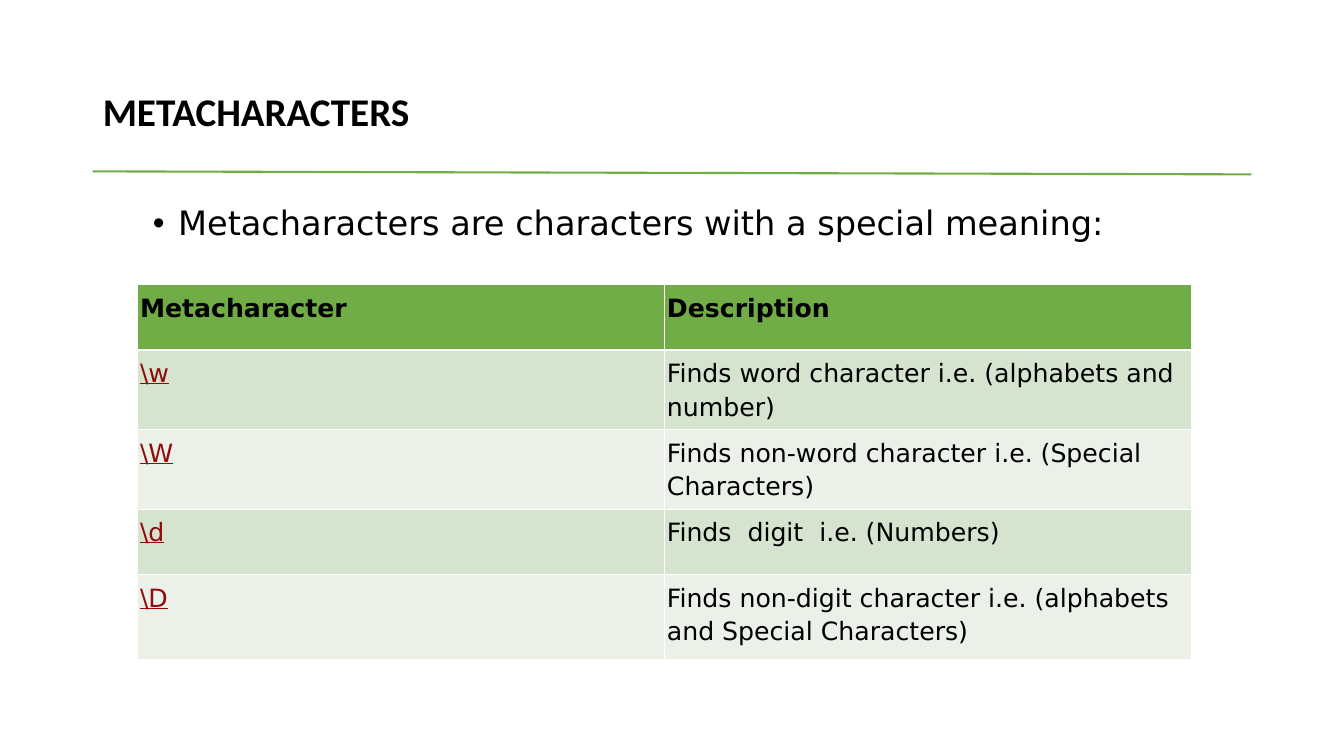
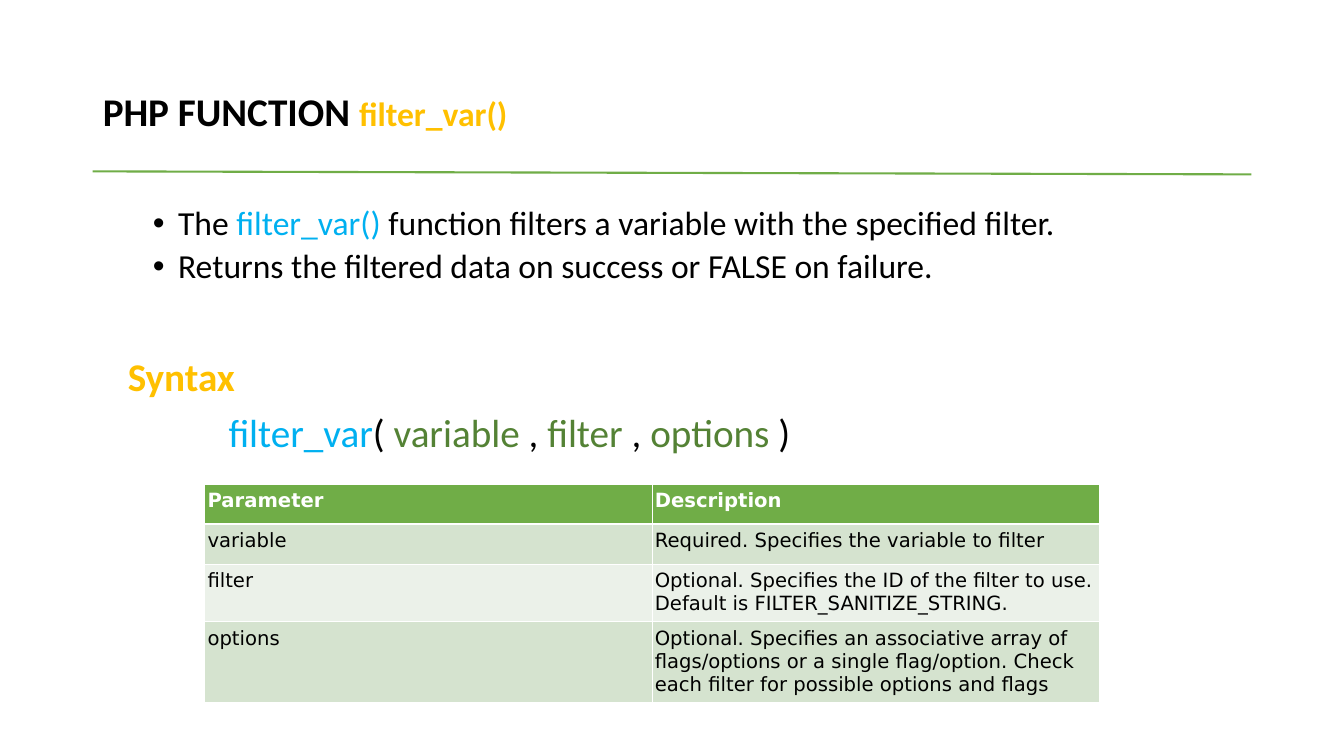
from lxml.etree import SubElement
from pptx import Presentation
from pptx.dml.color import RGBColor
from pptx.enum.shapes import MSO_CONNECTOR as Connector
from pptx.enum.text import MSO_ANCHOR as Anchor, MSO_AUTO_SIZE as AutoSize, PP_ALIGN as Align
from pptx.oxml.ns import qn
from pptx.util import Pt

PX = 9144  # 100 px to the inch
SLIDE = (1334, 750)
TITLE_BOX = (92, 40, 1150, 145)
BODY_BOX = (92, 200, 1150, 476)
RULE = (92, 170, 1242, 173)
CELL_MARGIN = (3, 5)

BLACK = RGBColor(0x00, 0x00, 0x00)
WHITE = RGBColor(0xFF, 0xFF, 0xFF)
GREEN = RGBColor(0x70, 0xAD, 0x47)
BANDS = (RGBColor(0xD5, 0xE3, 0xCF), RGBColor(0xEB, 0xF1, 0xE9))
DARK_GREEN = RGBColor(0x54, 0x82, 0x35)
GOLD = RGBColor(0xFF, 0xC0, 0x00)
BLUE = RGBColor(0x00, 0xB0, 0xF0)
DARK_RED = RGBColor(0x90, 0x0B, 0x09)

CALIBRI, DEJAVU = "Calibri", "DejaVu Sans"

# Paragraph styles: left edge and hanging indent in px, space before and size in points
STYLES = {
    "bullet": dict(left=75, hanging=25, before=5, size=24, bold=False),
    "heading": dict(left=25, hanging=0, before=51, size=28, bold=True),
    "code": dict(left=125, hanging=0, before=10, size=28, bold=False),
}

PAGES = [
    dict(
        title=[("METACHARACTERS", BLACK, 28)],
        font=DEJAVU,
        body=[("bullet", [("Metacharacters are characters with a special meaning:", BLACK)])],
        table=dict(
            left=136, top=282, column=523, heights=(65, 79, 79, 65, 84),
            size=18, spacing=1.15, header=BLACK, key=DARK_RED, underline=True,
            rows=[
                ("Metacharacter", "Description"),
                ("\\w", "Finds word character i.e. (alphabets and number)"),
                ("\\W", "Finds non-word character i.e. (Special Characters)"),
                ("\\d", "Finds  digit  i.e. (Numbers)"),
                ("\\D", "Finds non-digit character i.e. (alphabets and Special Characters)"),
            ],
        ),
    ),
    dict(
        title=[("PHP FUNCTION ", BLACK, 28), ("filter_var()", GOLD, 24)],
        font=CALIBRI,
        body=[
            ("bullet", [("The ", BLACK), ("filter_var() ", BLUE),
                        ("function filters a variable with the specified filter.", BLACK)]),
            ("bullet", [("Returns the filtered data on success or FALSE on failure.", BLACK)]),
            ("heading", [("Syntax", GOLD)]),
            ("code", [("filter_var", BLUE), ("( ", BLACK), ("variable ", DARK_GREEN),
                      (", ", BLACK), ("filter ", DARK_GREEN), (", ", BLACK),
                      ("options ", DARK_GREEN), (")", BLACK)]),
        ],
        table=dict(
            left=203, top=480, column=444, heights=(40, 40, 56, 79),
            size=14, spacing=1.0, header=WHITE, key=BLACK, underline=False,
            rows=[
                ("Parameter", "Description"),
                ("variable", "Required. Specifies the variable to filter"),
                ("filter", "Optional. Specifies the ID of the filter to use. "
                           "Default is FILTER_SANITIZE_STRING."),
                ("options", "Optional. Specifies an associative array of flags/options or a "
                            "single flag/option. Check each filter for possible options and flags"),
            ],
        ),
    ),
]


def px(*lengths):
    return [length * PX for length in lengths]


def add_span(para, text, font, size, color, bold):
    span = para.add_run()
    span.text = text
    style_span(span, font, size, color, bold)


def style_span(span, font, size, color, bold):
    span.font.name = font
    span.font.size = Pt(size)
    span.font.bold = bold
    span.font.color.rgb = color


def add_title(page, spans):
    """Fill the title placeholder and draw the rule below it."""
    title = page.shapes.title
    title.left, title.top, title.width, title.height = px(*TITLE_BOX)
    frame = title.text_frame
    frame.auto_size = AutoSize.NONE
    frame.vertical_anchor = Anchor.MIDDLE
    para = frame.paragraphs[0]
    para.alignment = Align.LEFT
    para.line_spacing = 0.9
    for text, color, size in spans:
        add_span(para, text, CALIBRI, size, color, True)

    rule = page.shapes.add_connector(Connector.STRAIGHT, *px(*RULE))
    rule.line.color.rgb = GREEN
    rule.line.width = Pt(1.5)
    SubElement(rule.element.spPr, qn("a:effectLst"))


def add_body(page, paragraphs, font):
    frame = page.shapes.add_textbox(*px(*BODY_BOX)).text_frame
    frame.word_wrap = True
    for index, (kind, spans) in enumerate(paragraphs):
        style = STYLES[kind]
        para = frame.add_paragraph() if index else frame.paragraphs[0]
        para.line_spacing = 0.9
        para.space_before = Pt(style["before"])
        properties = para._p.get_or_add_pPr()
        properties.set("marL", str(style["left"] * PX))
        properties.set("indent", str(-style["hanging"] * PX))
        if kind == "bullet":
            SubElement(properties, qn("a:buFont"), typeface="Arial")
            SubElement(properties, qn("a:buChar"), char="•")
        for text, color in spans:
            add_span(para, text, font, style["size"], color, style["bold"])


def set_borders(cell, top, bottom):
    """Draw white cell borders; top and bottom are widths in points."""
    properties = cell._tc.get_or_add_tcPr()
    for side, width in (("L", 0.45), ("R", 0.45), ("T", top), ("B", bottom)):
        line = SubElement(properties, qn(f"a:ln{side}"), w=str(int(Pt(width))))
        fill = SubElement(line, qn("a:solidFill"))
        SubElement(fill, qn("a:srgbClr"), val=str(WHITE))


def add_table(page, data):
    rows, heights = data["rows"], data["heights"]
    columns = len(rows[0])
    table = page.shapes.add_table(
        len(rows), columns,
        *px(data["left"], data["top"], data["column"] * columns, sum(heights))).table
    for column in table.columns:
        column.width = data["column"] * PX
    for r, (texts, height) in enumerate(zip(rows, heights)):
        table.rows[r].height = height * PX
        for c, text in enumerate(texts):
            cell = table.cell(r, c)
            cell.margin_left = cell.margin_right = CELL_MARGIN[0] * PX
            cell.margin_top = cell.margin_bottom = CELL_MARGIN[1] * PX
            set_borders(cell, 1.47 if r == 1 else 0.45, 1.47 if r == 0 else 0.45)
            cell.fill.solid()
            cell.fill.fore_color.rgb = BANDS[(r - 1) % 2] if r else GREEN
            cell.text_frame.text = text
            para = cell.text_frame.paragraphs[0]
            para.line_spacing = data["spacing"]
            is_key = r > 0 and c == 0
            color = data["header"] if r == 0 else data["key"] if is_key else BLACK
            span = para.runs[0]
            style_span(span, DEJAVU, data["size"], color, r == 0)
            span.font.underline = is_key and data["underline"]


def main():
    deck = Presentation()
    deck.slide_width, deck.slide_height = px(*SLIDE)
    title_only = deck.slide_layouts[5]
    for content in PAGES:
        page = deck.slides.add_slide(title_only)
        add_title(page, content["title"])
        add_body(page, content["body"], content["font"])
        add_table(page, content["table"])
    deck.save("out.pptx")


if __name__ == "__main__":
    main()
